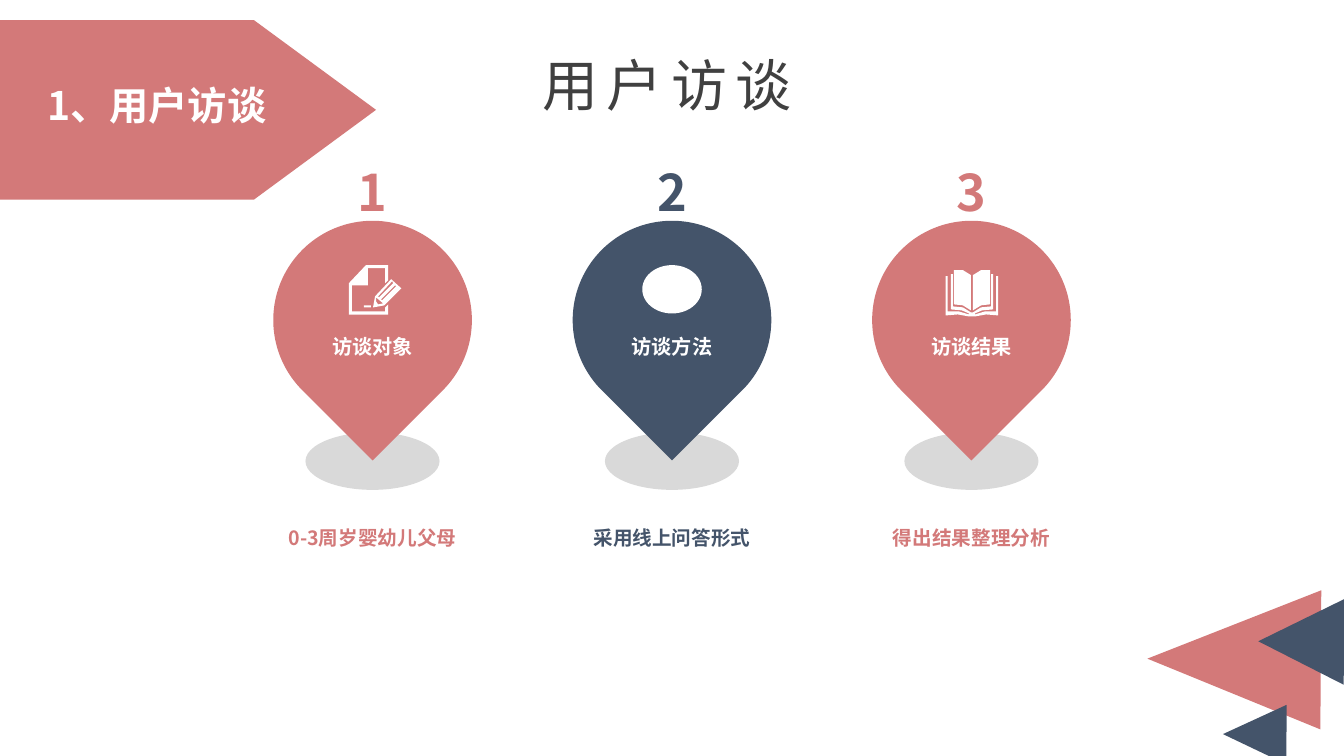
"""Build the user interview slide: banner, title, three map pins and corner triangles."""
from lxml.etree import SubElement
from pptx import Presentation
from pptx.dml.color import RGBColor
from pptx.enum.shapes import MSO_SHAPE as Preset
from pptx.enum.text import MSO_ANCHOR as Anchor, PP_ALIGN as Align
from pptx.oxml.ns import qn
from pptx.util import Inches, Pt

FONT = "Noto Sans CJK SC"
ROSE, NAVY, GREY, WHITE, INK = "D37979", "44546A", "D9D9D9", "FFFFFF", "404040"
WIDTH, HEIGHT = 13.33, 7.5
PITCH = 2.97
PIN, SHADOW_WIDTH, SHADOW_HEIGHT = 1.97, 1.33, 0.57
HUNDREDTH = Inches(0.01)

deck = Presentation()
deck.slide_width, deck.slide_height = Inches(WIDTH), Inches(HEIGHT)
page = deck.slides.add_slide(deck.slide_layouts[6])


def paint(shape, color):
    shape.shadow.inherit = False
    shape.fill.solid()
    shape.fill.fore_color.rgb = RGBColor.from_string(color)
    shape.line.fill.background()
    return shape


def write(text, left, top, width, height, size, color, bold=True, align=Align.CENTER):
    box = page.shapes.add_textbox(*map(Inches, (left, top, width, height)))
    frame = box.text_frame
    frame.margin_left = frame.margin_right = frame.margin_top = frame.margin_bottom = 0
    frame.vertical_anchor = Anchor.MIDDLE
    frame.word_wrap = False
    frame.text = text
    para = frame.paragraphs[0]
    para.alignment = align
    span = para.runs[0]
    span.font.size, span.font.bold, span.font.name = Pt(size), bold, FONT
    span.font.color.rgb = RGBColor.from_string(color)
    SubElement(span.font._element, qn("a:ea"), typeface=FONT)
    return span


triangles = [
    (11.55, 5.68, 1.38, 1.72, ROSE),
    (12.15, 6.97, 0.59, 0.63, NAVY),
    (12.48, 5.94, 0.85, 0.85, NAVY),
]
for *place, color in triangles:
    triangle = paint(page.shapes.add_shape(Preset.ISOSCELES_TRIANGLE, *map(Inches, place)), color)
    triangle.rotation = 270.4

pins = [
    ("访谈对象", "0-3周岁婴幼儿父母", ROSE),
    ("访谈方法", "采用线上问答形式", NAVY),
    ("访谈结果", "得出结果整理分析", ROSE),
]
for column, (label, caption, color) in enumerate(pins):
    center = WIDTH / 2 + (column - 1) * PITCH
    shadow_place = (center - SHADOW_WIDTH / 2, 4.29, SHADOW_WIDTH, SHADOW_HEIGHT)
    paint(page.shapes.add_shape(Preset.OVAL, *map(Inches, shadow_place)), GREY)
    pin_place = (center - PIN / 2, 2.19, PIN, PIN)
    pin = paint(page.shapes.add_shape(Preset.TEAR, *map(Inches, pin_place)), color)
    pin.rotation = 135
    write(str(column + 1), center - 0.24, 1.54, 0.48, 0.71, 36, color)
    write(label, center - 0.82, 3.3, 1.64, 0.27, 14.4, WHITE)
    write(caption, center - 1.21, 5.18, 2.42, 0.31, 14, color)

document_icon = [
    [(361, 303), (368, 303), (368, 305), (361, 305)],
    [(381, 303), (370, 305), (372, 294), (388, 277), (398, 286)],
    [(379, 298), (393, 284), (392, 283), (378, 297)],
    [(380, 301), (375, 302), (373, 299), (373, 295)],
    [(376, 295), (390, 281), (389, 279), (375, 294)],
    [(346, 312), (385, 312), (385, 302), (382, 305), (382, 309), (349, 309), (349, 283),
     (365, 283), (365, 266), (382, 266), (382, 281), (385, 278), (385, 263), (363, 263),
     (346, 281)],
]

left_page = [(963, 308), (955, 303), (946, 302), (946, 268), (955, 268), (963, 273)]
left_cover = [
    (961, 314), (950, 312), (938, 313), (938, 274), (940, 274), (940, 309), (951, 309),
    (961, 312), (961, 311), (954, 308), (943, 307), (943, 272), (945, 272), (945, 304),
    (955, 305), (963, 310),
]
right_page, right_cover = ([(1928 - x, y) for x, y in half] for half in (left_page, left_cover))
book_icon = [left_page, left_cover + right_cover[::-1], right_page]

for icon in (document_icon, book_icon):
    builder = page.shapes.build_freeform(*icon[0][0], scale=HUNDREDTH)
    for outline in icon:
        builder.move_to(*outline[0])
        builder.add_line_segments(outline[1:], close=True)
    paint(builder.convert_to_shape(), WHITE)

paint(page.shapes.add_shape(Preset.OVAL, *map(Inches, (6.37, 2.63, 0.59, 0.48))), WHITE)

title = write("用户访谈", 4.57, 0.5, 4.09, 0.67, 40, INK, bold=False)
title.font._element.set("spc", "600")

banner = paint(page.shapes.add_shape(Preset.PENTAGON, *map(Inches, (0, 0.2, 3.73, 1.78))), ROSE)
banner.adjustments[0] = 0.68
write("1、用户访谈", 0.47, 0.76, 3.36, 0.57, 28, WHITE, align=Align.LEFT)

deck.save("out.pptx")
